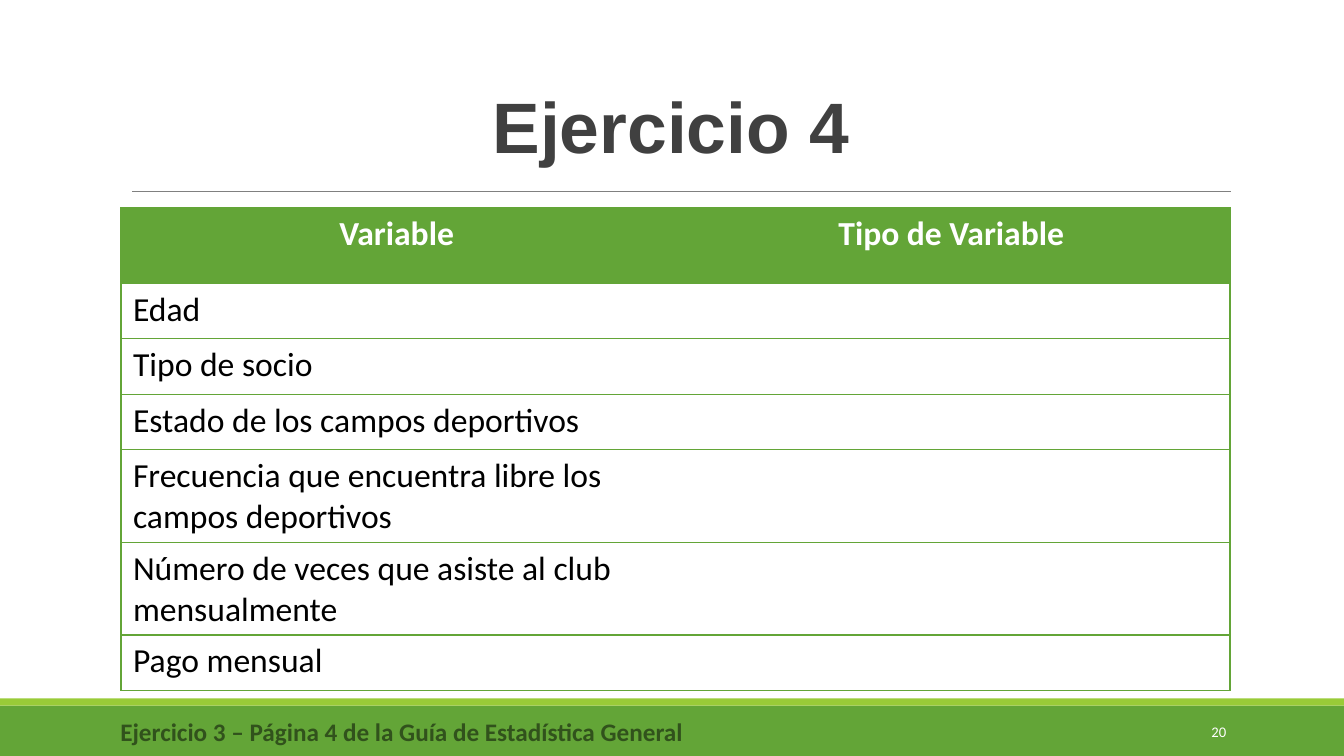
from typing import NamedTuple

from lxml.etree import SubElement
from pptx import Presentation
from pptx.dml.color import RGBColor
from pptx.enum.shapes import MSO_CONNECTOR, MSO_SHAPE
from pptx.enum.text import MSO_ANCHOR as ANCHOR, PP_ALIGN as ALIGN
from pptx.oxml import parse_xml
from pptx.oxml.ns import nsdecls, qn
from pptx.util import Inches, Pt


class Theme(NamedTuple):
    green: str = "63A537"
    lime: str = "99CB38"
    dark_green: str = "31521C"
    gray: str = "808080"
    heading: str = "404040"
    black: str = "000000"
    white: str = "FFFFFF"
    title_font: str = "Arial"
    body_font: str = "Calibri"
    title_size: float = 51
    table_size: float = 24
    footer_size: float = 18
    number_size: float = 10.5


class Box(NamedTuple):
    left: float
    top: float
    width: float
    height: float

    def emu(self) -> list[int]:
        return [Inches(v) for v in self]


class Band(NamedTuple):
    box: Box
    color: str


T = Theme()
BANDS = [
    Band(Box(0, 7, 13.33, 0.5), T.green),
    Band(Box(0, 6.93, 13.33, 0.07), T.lime),
]
HEADERS = ["Variable", "Tipo de Variable"]
VARIABLES = [
    "Edad",
    "Tipo de socio",
    "Estado de los campos deportivos",
    "Frecuencia que encuentra libre los campos deportivos",
    "Número de veces que asiste al club mensualmente",
    "Pago mensual",
]
COL_WIDTHS = [5.47, 5.53]
HEADER_HEIGHT, ROW_HEIGHT = 0.75, 0.55


def rgb(color: str) -> RGBColor:
    return RGBColor.from_string(color)


def write(tf, text: str, *, size: float, color: str, font: str = T.body_font,
          bold: bool = False, align=ALIGN.LEFT):
    p = tf.paragraphs[0]
    p.alignment = align
    r = p.add_run()
    r.text = text
    r.font.size, r.font.name, r.font.bold = Pt(size), font, bold
    r.font.color.rgb = rgb(color)
    return p


def add_text(s, box: Box, text: str, *, inset: float = 0, anchor=ANCHOR.MIDDLE, **style):
    tf = s.shapes.add_textbox(*box.emu()).text_frame
    tf.word_wrap = True
    tf.vertical_anchor = anchor
    tf.margin_left = tf.margin_right = Inches(inset)
    return write(tf, text, **style)


def add_band(s, band: Band) -> None:
    sp = s.shapes.add_shape(MSO_SHAPE.RECTANGLE, *band.box.emu())
    sp.shadow.inherit = False
    sp.fill.solid()
    sp.fill.fore_color.rgb = rgb(band.color)
    sp.line.fill.background()


def add_rule(s, left: float, right: float, y: float) -> None:
    line = s.shapes.add_connector(
        MSO_CONNECTOR.STRAIGHT, Inches(left), Inches(y), Inches(right), Inches(y))
    line.line.color.rgb = rgb(T.gray)
    line.line.width = Pt(0.5)
    SubElement(line._element.spPr, qn("a:effectLst"))


def add_title(s) -> None:
    p = add_text(s, Box(1.41, 0.86, 10.14, 0.89), "Ejercicio 4", anchor=ANCHOR.TOP,
                 size=T.title_size, color=T.heading, font=T.title_font,
                 bold=True, align=ALIGN.CENTER)
    p.line_spacing, p.space_before, p.space_after = 0.9, Pt(12), Pt(2)
    pPr = p._p.get_or_add_pPr()
    pPr.set("marL", str(Inches(0.1)))
    pPr.set("indent", str(Inches(-0.1)))
    SubElement(pPr, qn("a:buChar")).set("char", " ")


def set_borders(cell, visible: str) -> None:
    tcPr = cell._tc.get_or_add_tcPr()
    for i, side in enumerate("LRTB"):
        fill = (f'<a:solidFill><a:srgbClr val="{T.green}"/></a:solidFill>'
                if side in visible else "<a:noFill/>")
        tcPr.insert(i, parse_xml(
            f'<a:ln{side} {nsdecls("a")} w="{Pt(1)}">{fill}</a:ln{side}>'))


def fill_cell(cell, text: str, header: bool, visible: str) -> None:
    cell.margin_left = cell.margin_right = Inches(0.12)
    cell.margin_top = cell.margin_bottom = Inches(0.06)
    cell.fill.solid()
    cell.fill.fore_color.rgb = rgb(T.green if header else T.white)
    if text:
        write(cell.text_frame, text, size=T.table_size, bold=header,
              color=T.white if header else T.black,
              align=ALIGN.CENTER if header else ALIGN.LEFT)
    set_borders(cell, visible)


def add_variables_table(s) -> None:
    rows = [HEADERS] + [[name, ""] for name in VARIABLES]
    heights = [HEADER_HEIGHT] + [ROW_HEIGHT] * len(VARIABLES)
    box = Box(1.2, 2.06, sum(COL_WIDTHS), sum(heights))
    table = s.shapes.add_table(len(rows), len(COL_WIDTHS), *box.emu()).table
    for col, width in zip(table.columns, COL_WIDTHS):
        col.width = Inches(width)
    for i, (row, height, texts) in enumerate(zip(table.rows, heights, rows)):
        row.height = Inches(height)
        for cell, text, outer in zip(row.cells, texts, "LR"):
            fill_cell(cell, text, i == 0, outer + "TB")


prs = Presentation()
prs.slide_width, prs.slide_height = Inches(13.33), Inches(7.5)
s = prs.slides.add_slide(prs.slide_layouts[6])
for band in BANDS:
    add_band(s, band)
add_rule(s, 1.31, 12.21, 1.9)
add_text(s, Box(10.83, 7.06, 1.43, 0.4), "20", inset=0.1,
         size=T.number_size, color=T.white, align=ALIGN.RIGHT)
add_title(s)
add_variables_table(s)
add_text(s, Box(1.07, 7.06, 5.83, 0.4),
         "Ejercicio 3 – Página 4 de la Guía de Estadística General",
         size=T.footer_size, color=T.dark_green, bold=True, align=ALIGN.CENTER)
prs.save("out.pptx")
